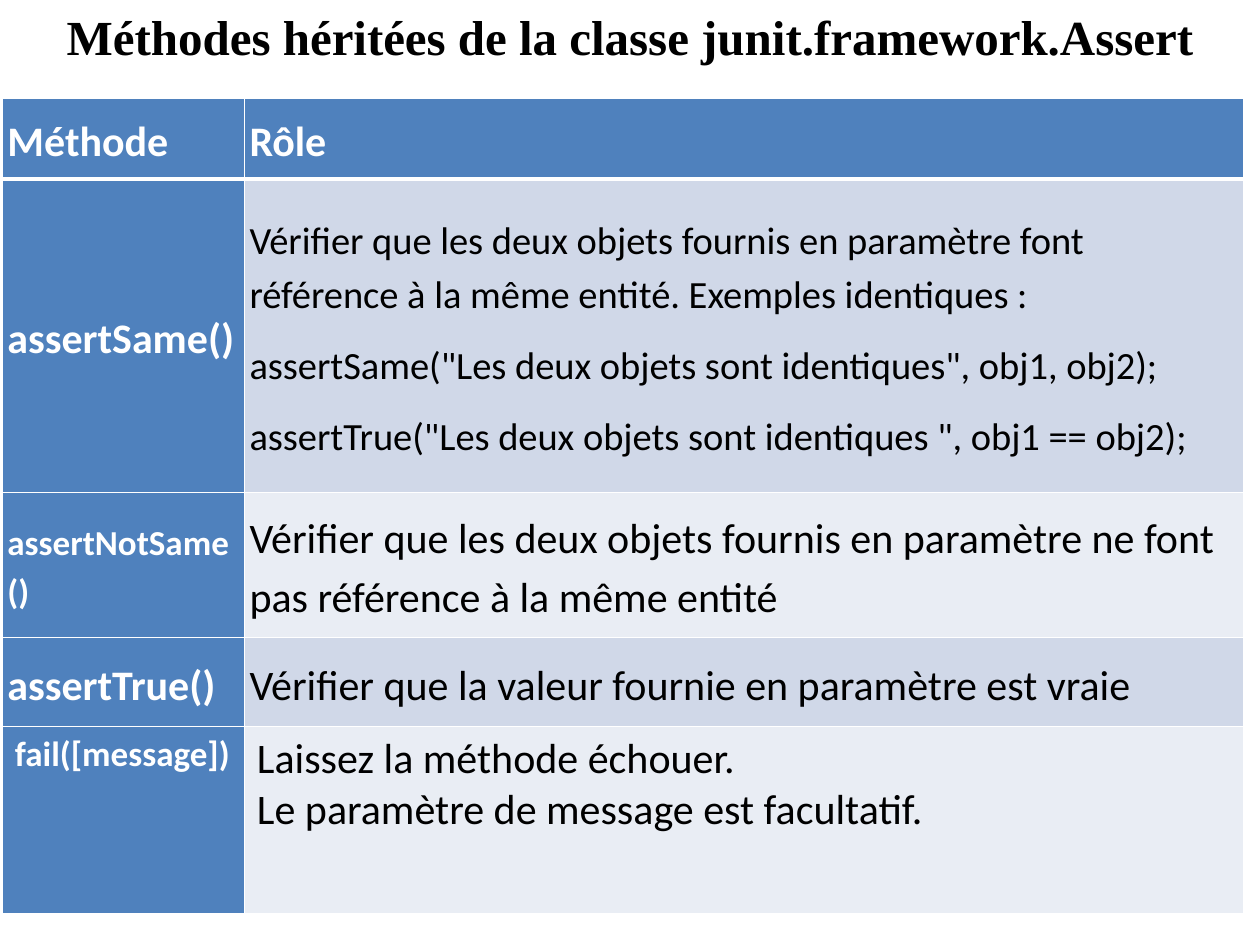
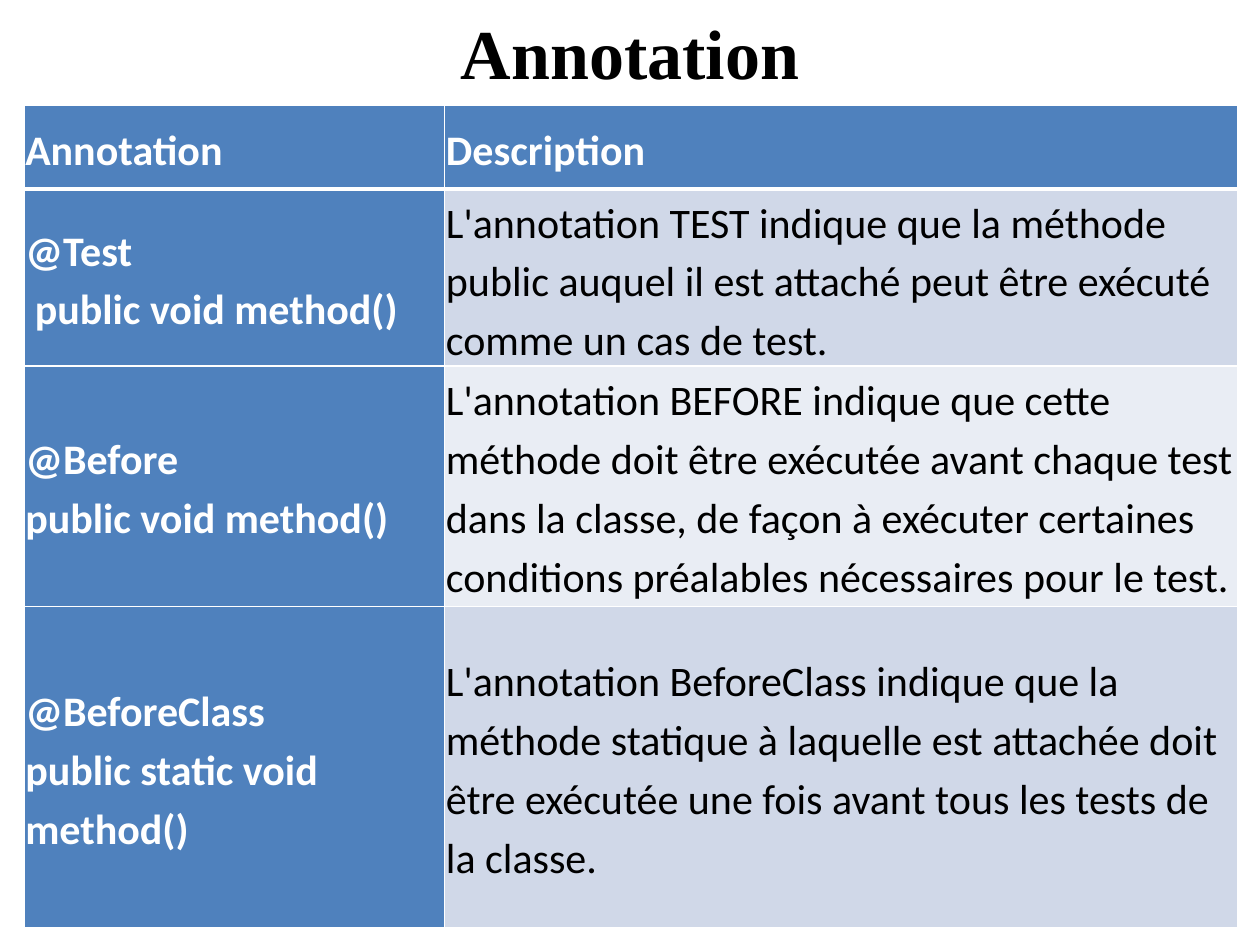
import pptx
import pptx.util
import pptx.dml.color
import pptx.enum.text
import pptx.oxml
import pptx.oxml.ns
from collections import namedtuple
from pptx.util import Cm

# Shared look
TITLE_FONT, BODY_FONT = "Times New Roman", "Calibri"
WHITE, BLACK = "FFFFFF", "000000"
BLUE, BANDS = "4F81BD", ("D0D8E8", "E9EDF4")
THIN, THICK = 1, 3

Box = namedtuple("Box", "left top width height")
# Inner spacing of a cell: side and top margins (cm), line spacing, space after (pt)
Spacing = namedtuple("Spacing", "side top line after anchor")
MIDDLE = pptx.enum.text.MSO_ANCHOR.MIDDLE
TOP = pptx.enum.text.MSO_ANCHOR.TOP
AIRY = Spacing(0.1, 0.1, 1.15, 10, MIDDLE)
TIGHT = Spacing(0.03, 0.03, 1.15, 0, MIDDLE)
PLAIN = Spacing(0.25, 0.13, 1, 0, TOP)

# A row: height (cm), label and detail paragraphs, their sizes (pt), spacing
Row = namedtuple("Row", "height label detail label_size detail_size spacing")

METHOD_ROWS = [
    Row(1.63, ["Méthode"], ["Rôle"], 24, 24, AIRY),
    Row(6.32, ["assertSame()"],
        ["Vérifier que les deux objets fournis en paramètre font référence "
         "à la même entité. Exemples identiques :",
         'assertSame("Les deux objets sont identiques", obj1, obj2);',
         'assertTrue("Les deux objets sont identiques ", obj1 == obj2);'],
        24, 22, AIRY),
    Row(2.92, ["assertNotSame()"],
        ["Vérifier que les deux objets fournis en paramètre ne font pas "
         "référence à la même entité"], 20, 24, AIRY),
    Row(1.8, ["assertTrue()"],
        ["Vérifier que la valeur fournie en paramètre est vraie"], 24, 24, AIRY),
    Row(3.78, ["fail([message])"],
        ["Laissez la méthode échouer.",
         "Le paramètre de message est facultatif."], 20, 24, PLAIN),
]

ANNOTATION_ROWS = [
    Row(1.68, ["Annotation"], ["Description"], 24, 24, TIGHT),
    Row(3.25, ["@Test", " public void method()"],
        ["L'annotation TEST indique que la méthode public auquel il est "
         "attaché peut être exécuté comme un cas de test."], 24, 24, TIGHT),
    Row(4.85, ["@Before", "public void method()"],
        ["L'annotation BEFORE indique que cette méthode doit être exécutée "
         "avant chaque test dans la classe, de façon à exécuter certaines "
         "conditions préalables nécessaires pour le test."], 24, 24, TIGHT),
    Row(6.48, ["@BeforeClass", "public static void method()"],
        ["L'annotation BeforeClass indique que la méthode statique à laquelle "
         "est attachée doit être exécutée une fois avant tous les tests de "
         "la classe."], 24, 24, TIGHT),
]


def color(hex_code):
    return pptx.dml.color.RGBColor.from_string(hex_code)


def style_font(para, name, size, hex_code, bold):
    font = para.font
    font.name, font.size, font.bold = name, pptx.util.Pt(size), bold
    font.color.rgb = color(hex_code)


def add_title(page, box, text, size):
    title = page.shapes.title
    title.left, title.top, title.width, title.height = map(Cm, box)
    frame = title.text_frame
    frame.text = text
    frame.word_wrap = True
    frame.vertical_anchor = MIDDLE
    frame.auto_size = pptx.enum.text.MSO_AUTO_SIZE.SHAPE_TO_FIT_TEXT
    para = frame.paragraphs[0]
    para.alignment = pptx.enum.text.PP_ALIGN.CENTER
    style_font(para, TITLE_FONT, size, BLACK, True)


def add_borders(cell, top, bottom):
    properties = cell._tc.get_or_add_tcPr()
    for side, width in (("L", THIN), ("R", THIN), ("T", top), ("B", bottom)):
        properties.append(pptx.oxml.parse_xml(
            f'<a:ln{side} {pptx.oxml.ns.nsdecls("a")} w="{pptx.util.Pt(width)}">'
            f'<a:solidFill><a:srgbClr val="{WHITE}"/></a:solidFill></a:ln{side}>'))


def fill_cell(cell, texts, size, spacing, fill, ink):
    cell.fill.solid()
    cell.fill.fore_color.rgb = color(fill)
    cell.margin_left = cell.margin_right = Cm(spacing.side)
    cell.margin_top = cell.margin_bottom = Cm(spacing.top)
    cell.vertical_anchor = spacing.anchor
    cell.text = "\n".join(texts)
    for para in cell.text_frame.paragraphs:
        para.line_spacing = spacing.line
        para.space_after = pptx.util.Pt(spacing.after)
        style_font(para, BODY_FONT, size, ink, ink == WHITE)


def add_grid(page, box, label_width, rows):
    table = page.shapes.add_table(len(rows), 2, *map(Cm, box)).table
    table.columns[0].width = Cm(label_width)
    table.columns[1].width = Cm(box.width - label_width)
    for index, row in enumerate(rows):
        table.rows[index].height = Cm(row.height)
        header = index == 0
        # Blue header row and label column, banded details
        detail_look = (BLUE, WHITE) if header else (BANDS[(index - 1) % 2], BLACK)
        parts = ((row.label, row.label_size, (BLUE, WHITE)),
                 (row.detail, row.detail_size, detail_look))
        for column, (texts, size, look) in enumerate(parts):
            cell = table.cell(index, column)
            add_borders(cell, THICK if index == 1 else THIN,
                        THICK if header else THIN)
            fill_cell(cell, texts, size, row.spacing, *look)


def add_table_page(deck, title, title_box, title_size, corner, widths, rows):
    page = deck.slides.add_slide(deck.slide_layouts[5])
    add_title(page, title_box, title, title_size)
    box = Box(*corner, sum(widths), sum(row.height for row in rows))
    add_grid(page, box, widths[0], rows)


def main():
    deck = pptx.Presentation()
    deck.slide_width, deck.slide_height = Cm(25.4), Cm(19.05)
    # Inherited methods
    add_table_page(deck, "Méthodes héritées de la classe junit.framework.Assert",
                   Box(0, 0, 25.4, 1.45), 28,
                   (0.05, 1.98), (4.88, 20.14), METHOD_ROWS)
    # Annotations
    add_table_page(deck, "Annotation", Box(1.27, 0.05, 22.86, 1.96), 40,
                   (0.48, 2.13), (8.48, 16), ANNOTATION_ROWS)
    deck.save("out.pptx")


if __name__ == "__main__":
    main()
